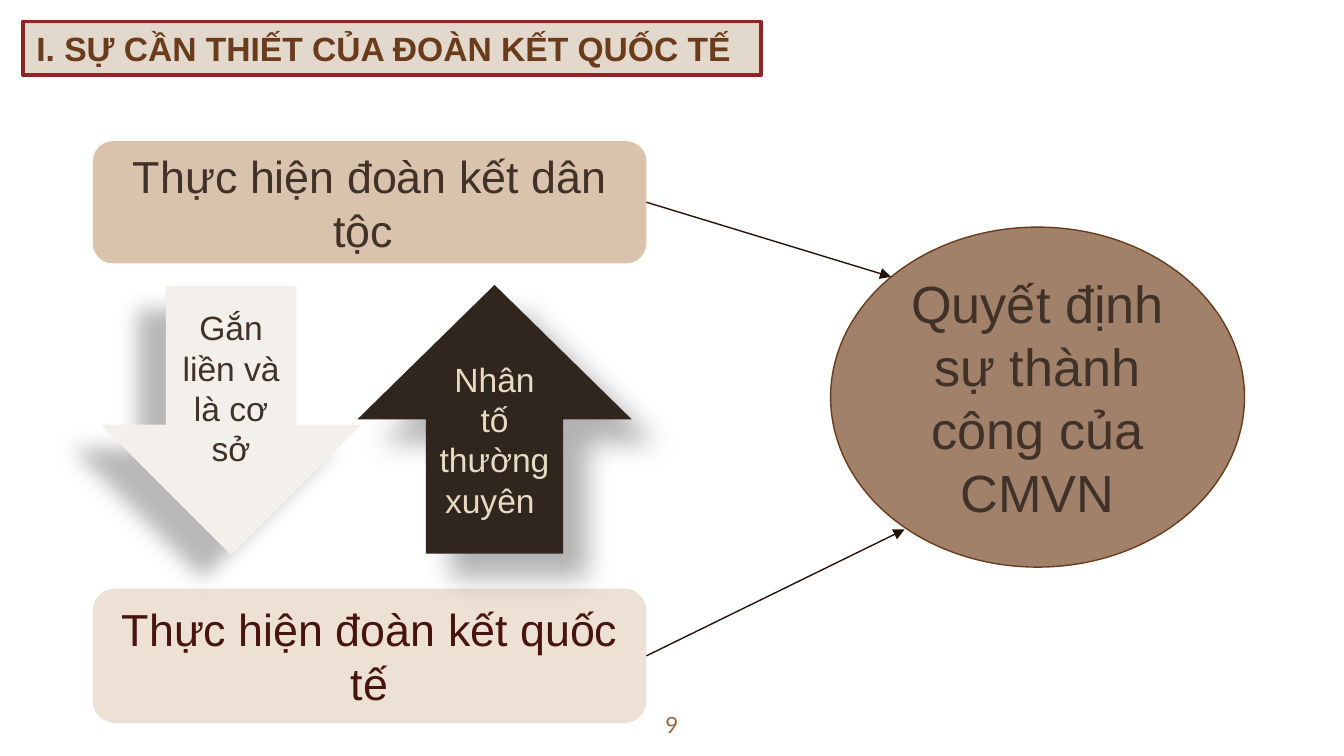
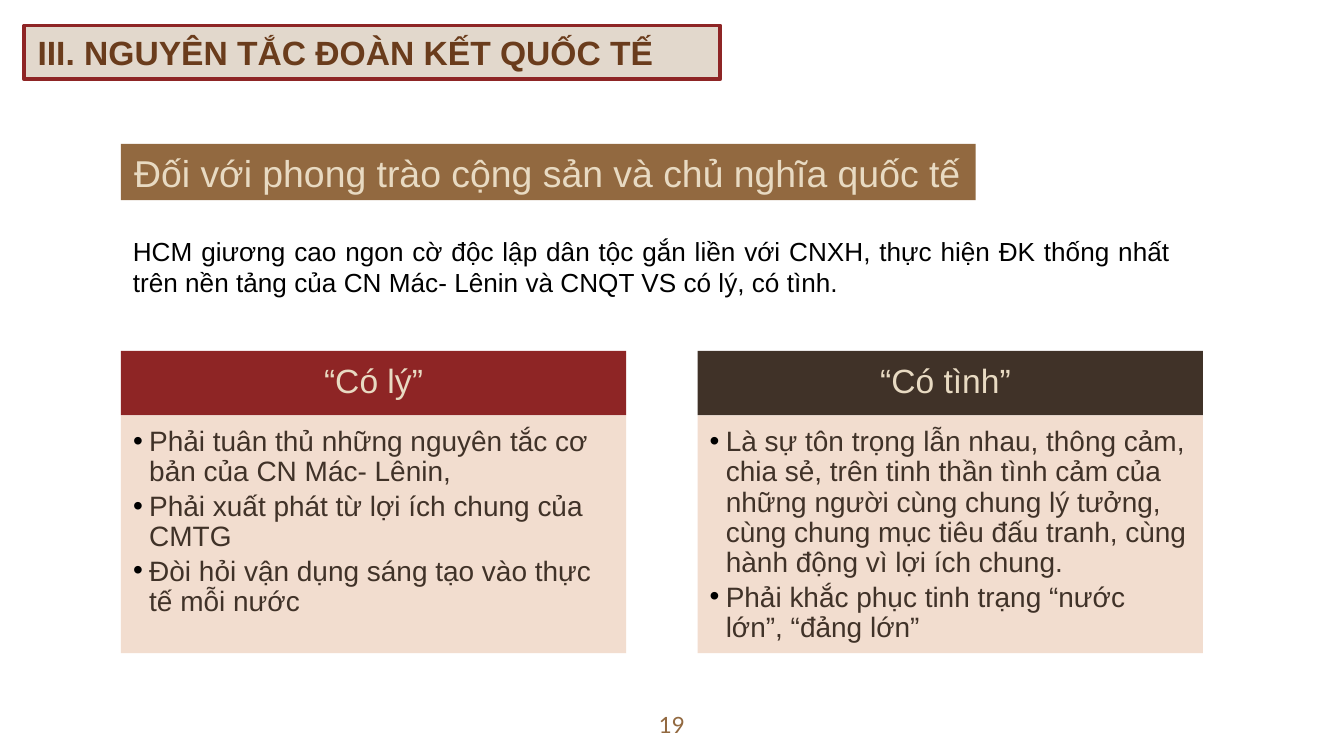
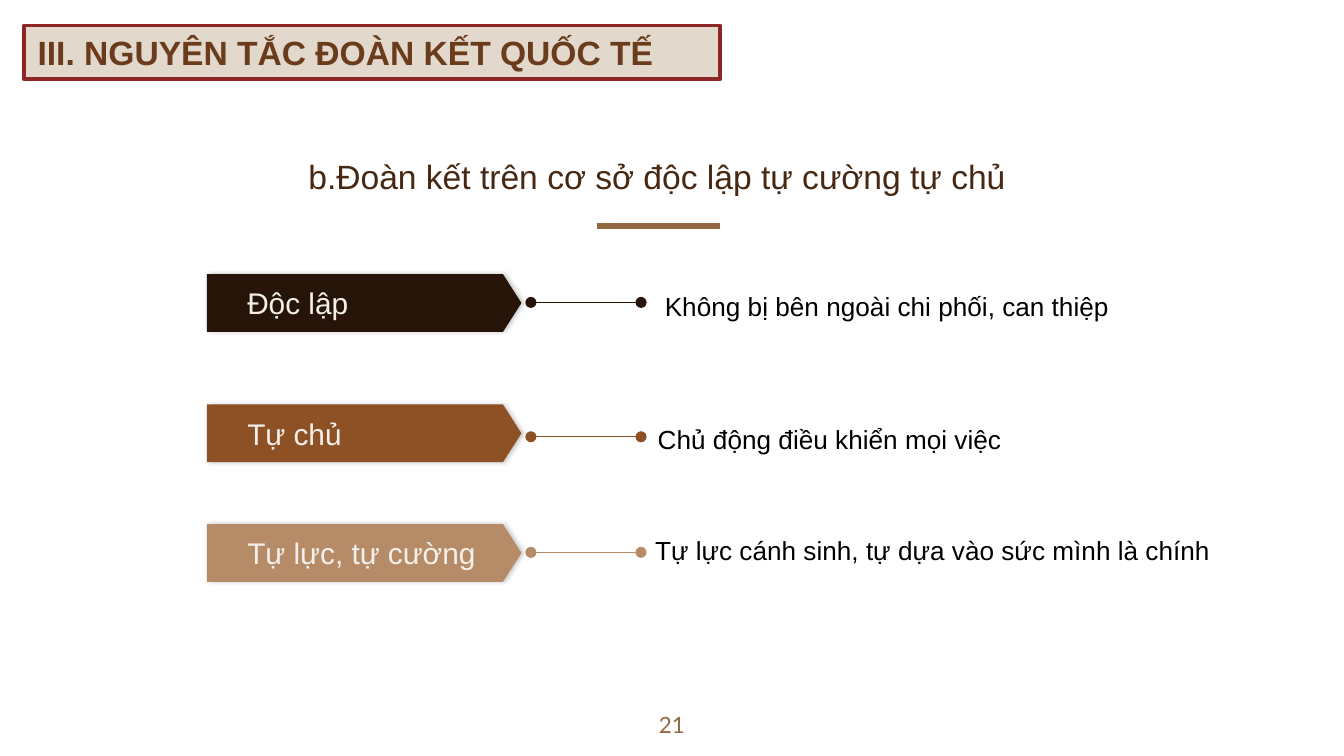
"""Build three slides on international solidarity."""
from dataclasses import dataclass
from typing import Optional

from lxml import etree
from pptx import Presentation
from pptx import util as u
from pptx.dml import color as hue
from pptx.enum import shapes, text
from pptx.oxml import ns

SCALE = 9144
KIND = shapes.MSO_SHAPE
LEFT, MID, FULL = text.PP_ALIGN.LEFT, text.PP_ALIGN.CENTER, text.PP_ALIGN.JUSTIFY
TOP, HALF, LOW = text.MSO_ANCHOR.TOP, text.MSO_ANCHOR.MIDDLE, text.MSO_ANCHOR.BOTTOM


@dataclass(frozen=True)
class Theme:
    """Colours, fonts and type sizes of the deck."""
    font: str = "Arial"
    digit: str = "Lato"
    black: str = "000000"
    ink: str = "403228"
    wine: str = "471313"
    red: str = "8E2525"
    brown: str = "6A3C1C"
    umber: str = "472813"
    gold: str = "926940"
    cream: str = "E8DAC2"
    pale: str = "F3EFEA"
    band: str = "E2D8CC"
    sand: str = "DAC3AC"
    shell: str = "EDE1D5"
    clay: str = "A18169"
    peach: str = "F1DACA"
    coal: str = "30261E"
    wire: str = "261307"
    night: str = "261408"
    rust: str = "8E5025"
    tan: str = "B68C68"
    huge: int = 28
    big: int = 24
    lead: int = 20
    head: int = 18
    label: int = 16
    item: int = 15
    note: int = 14
    foot: int = 12


T = Theme()


@dataclass(frozen=True)
class Box:
    """Place of a shape in px."""
    x: int
    y: int
    w: int
    h: int


@dataclass(frozen=True)
class Type:
    """Look of a block of text."""
    size: int
    ink: str
    align: text.PP_ALIGN = MID
    anchor: text.MSO_ANCHOR = HALF
    pad: tuple[int, int, int, int] = (10, 5, 10, 5)
    font: str = T.font
    bold: bool = False
    lead: Optional[float] = None
    after: Optional[float] = None


@dataclass(frozen=True)
class Shade:
    """Outer shadow: alpha in percent, blur and offset in points, angle in degrees."""
    alpha: int
    blur: float
    dist: float
    angle: int


@dataclass(frozen=True)
class Block:
    """Filled shape with its text."""
    kind: KIND
    box: Box
    fill: str
    words: str
    look: Type
    edge: Optional[str] = None
    shade: Optional[Shade] = None


@dataclass(frozen=True)
class Column:
    """Headed list."""
    head: str
    fill: str
    items: tuple[str, ...]


@dataclass(frozen=True)
class Row:
    """Tag, wire and note on one level."""
    tag: str
    fill: str
    top: int
    wire: int
    note: str
    box: Box


BANNER = Type(T.head, T.brown, LEFT, TOP, bold=True)
NUMBER = Type(T.foot, T.gold, anchor=TOP, pad=(10, 10, 10, 10), font=T.digit)
HEAD = Type(T.head, T.cream, pad=(12, 7, 12, 7), lead=0.9, after=6.3)
LIST = Type(T.item, T.ink, LEFT, TOP, (9, 9, 12, 13), lead=0.9, after=2.25)
NOTE = Type(T.note, T.black, anchor=TOP)
TAG = Type(T.label, T.pale, LEFT, pad=(30, 0, 0, 0))
THIRD = "III. NGUYÊN TẮC ĐOÀN KẾT QUỐC TẾ"


def px(n: int) -> u.Emu:
    """Turn px into EMU."""
    return u.Emu(n * SCALE)


def rgb(code: str) -> hue.RGBColor:
    """Turn a hex code into a colour."""
    return hue.RGBColor.from_string(code)


def sub(node, tag: str, **attrs):
    """Append a drawing element."""
    return etree.SubElement(node, ns.qn(tag), {k: str(v) for k, v in attrs.items()})


def place(shape, box: Box) -> None:
    """Move and size a shape."""
    shape.left, shape.top = px(box.x), px(box.y)
    shape.width, shape.height = px(box.w), px(box.h)


def paint(shape, fill: str, edge: Optional[str] = None, width: float = 0.75) -> None:
    """Set fill and outline."""
    shape.fill.solid()
    shape.fill.fore_color.rgb = rgb(fill)
    if edge:
        shape.line.color.rgb = rgb(edge)
        shape.line.width = u.Pt(width)
    else:
        shape.line.fill.background()


def write(shape, lines: tuple[str, ...], look: Type) -> None:
    """Write one paragraph per line."""
    frame = shape.text_frame
    frame.word_wrap = True
    frame.auto_size = text.MSO_AUTO_SIZE.NONE
    frame.vertical_anchor = look.anchor
    (frame.margin_left, frame.margin_top,
     frame.margin_right, frame.margin_bottom) = map(px, look.pad)
    for i, line in enumerate(lines):
        para = frame.add_paragraph() if i else frame.paragraphs[0]
        para.alignment = look.align
        if look.lead:
            para.line_spacing = look.lead
            para.space_before, para.space_after = u.Pt(0), u.Pt(look.after)
        run = para.add_run()
        run.text = line
        run.font.name, run.font.size = look.font, u.Pt(look.size)
        run.font.bold = look.bold
        run.font.color.rgb = rgb(look.ink)


def label(slide, box: Box, words: str, look: Type) -> None:
    """Add a plain text box."""
    shape = slide.shapes.add_textbox(*map(px, (box.x, box.y, box.w, box.h)))
    write(shape, (words,), look)


def cast(shape, shade: Shade) -> None:
    """Give a shape its shadow."""
    node = shape._element.spPr.find(ns.qn("a:effectLst"))
    drop = sub(node, "a:outerShdw", blurRad=u.Pt(shade.blur), dist=u.Pt(shade.dist),
               dir=shade.angle * 60000, algn="ctr", rotWithShape=0)
    sub(sub(drop, "a:srgbClr", val=T.black), "a:alpha", val=shade.alpha * 1000)


def draw(slide, block: Block):
    """Add a filled shape."""
    box = block.box
    shape = slide.shapes.add_shape(block.kind, *map(px, (box.x, box.y, box.w, box.h)))
    shape.shadow.inherit = False
    paint(shape, block.fill, block.edge)
    write(shape, (block.words,), block.look)
    if block.shade:
        cast(shape, block.shade)
    return shape


def link(slide, ends: tuple[int, int, int, int], ink: str, width: float = 0.75,
         head: str = "none", tail: str = "none"):
    """Add a straight line."""
    line = slide.shapes.add_connector(shapes.MSO_CONNECTOR.STRAIGHT, *map(px, ends))
    line.line.color.rgb = rgb(ink)
    line.line.width = u.Pt(width)
    edge = line.line._get_or_add_ln()
    sub(edge, "a:headEnd", type=head)
    sub(edge, "a:tailEnd", type=tail)
    sub(line._element.spPr, "a:effectLst")
    return line


def start(deck, layout: int, title: str, box: Box, number: int):
    """Add a slide with its banner and number."""
    slide = deck.slides.add_slide(deck.slide_layouts[layout])
    banner = slide.shapes.title
    place(banner, box)
    paint(banner, T.band, T.red, 2)
    write(banner, (title,), BANNER)
    label(slide, Box(470, 519, 60, 43), str(number), NUMBER)
    return slide


def fill_list(body, box: Box, items: tuple[str, ...]) -> None:
    """Format a body placeholder as a bulleted panel."""
    place(body, box)
    paint(body, T.peach)
    tint = body._element.spPr.find(ns.qn("a:solidFill"))[0]
    sub(tint, "a:alpha", val=90000)
    write(body, items, LIST)
    for para in body.text_frame.paragraphs:
        prop = para._p.get_or_add_pPr()
        prop.set("marL", str(px(12)))
        prop.set("indent", str(px(-12)))
        sub(sub(prop, "a:buClr"), "a:srgbClr", val=T.black)
        sub(prop, "a:buFont", typeface=T.font)
        sub(prop, "a:buChar", char="•")


def need(deck) -> None:
    """Build the slide on why solidarity is needed."""
    slide = start(deck, 5, "I. SỰ CẦN THIẾT CỦA ĐOÀN KẾT QUỐC TẾ", Box(17, 16, 549, 40), 9)
    world = draw(slide, Block(KIND.ROUNDED_RECTANGLE, Box(69, 438, 412, 100), T.shell,
                              "Thực hiện đoàn kết quốc tế", Type(T.big, T.wine)))
    draw(slide, Block(KIND.OVAL, Box(618, 169, 308, 253), T.clay,
                      "Quyết định sự thành công của CMVN", Type(T.huge, T.ink), T.brown))
    home = draw(slide, Block(KIND.ROUNDED_RECTANGLE, Box(69, 105, 412, 91), T.sand,
                             "Thực hiện đoàn kết dân tộc ", Type(T.big, T.ink)))
    draw(slide, Block(KIND.DOWN_ARROW, Box(75, 213, 194, 200), T.pale, "Gắn liền và là cơ sở",
                      Type(T.head, T.ink), shade=Shade(28, 11.8, 19.7, 141)))
    draw(slide, Block(KIND.UP_ARROW, Box(266, 212, 204, 200), T.coal, "Nhân tố thường xuyên ",
                      Type(T.head, T.cream, anchor=TOP), shade=Shade(30, 15, 18, 45)))
    for source, ends in ((home, (481, 151, 663, 206)), (world, (481, 488, 673, 394))):
        link(slide, ends, T.wire, tail="triangle").begin_connect(source, 3)


def reason(deck) -> None:
    """Build the slide on reason and feeling."""
    slide = start(deck, 3, THIRD, Box(18, 19, 518, 40), 19)
    draw(slide, Block(KIND.RECTANGLE, Box(90, 107, 636, 42), T.gold,
                      "Đối với phong trào cộng sản và chủ nghĩa quốc tế",
                      Type(T.lead, T.cream, LEFT, TOP, (10, 5, 0, 5))))
    label(slide, Box(89, 170, 792, 57),
          "HCM giương cao ngon cờ độc lập dân tộc gắn liền với CNXH, thực hiện ĐK thống nhất "
          "trên nền tảng của CN Mác- Lênin và CNQT VS có lý, có tình.",
          Type(T.note, T.black, FULL, TOP))
    cols = (
        Column("“Có lý”", T.red, (
            "Phải tuân thủ những nguyên tắc cơ bản của CN Mác- Lênin,",
            "Phải xuất phát từ lợi ích chung của CMTG",
            "Đòi hỏi vận dụng sáng tạo vào thực tế mỗi nước")),
        Column("“Có tình” ", T.ink, (
            "Là sự tôn trọng lẫn nhau, thông cảm, chia sẻ, trên tinh thần tình cảm của những "
            "người cùng chung lý tưởng, cùng chung mục tiêu đấu tranh, cùng hành động vì lợi "
            "ích chung.",
            "Phải khắc phục tinh trạng “nước lớn”, “đảng lớn”")),
    )
    for i, col in enumerate(cols):
        x = 90 + 429 * i
        draw(slide, Block(KIND.RECTANGLE, Box(x, 261, 376, 48), col.fill, col.head, HEAD))
        fill_list(slide.placeholders[i + 1], Box(x, 309, 376, 177), col.items)


def self_rule(deck) -> None:
    """Build the slide on independence."""
    slide = start(deck, 5, THIRD, Box(18, 19, 518, 40), 21)
    label(slide, Box(121, 62, 736, 94), "b.Đoàn kết trên cơ sở độc lập tự cường tự chủ",
          Type(T.head, T.umber, anchor=LOW, pad=(10, 10, 10, 10)))
    link(slide, (444, 168, 536, 168), T.gold, 3)
    rows = (
        Row("Độc lập", T.night, 204, 225,
            "Không bị bên ngoài chi phối, can thiệp", Box(410, 211, 500, 34)),
        Row("Tự chủ", T.rust, 301, 325,
            "Chủ động điều khiển mọi việc ", Box(436, 310, 368, 34)),
        Row("Tự lực, tự cường", T.tan, 390, 411,
            "Tự lực cánh sinh, tự dựa vào sức mình là chính", Box(444, 393, 500, 34)),
    )
    for row in rows:
        link(slide, (395, row.wire, 477, row.wire), row.fill, head="oval", tail="oval")
        plate = draw(slide, Block(KIND.PENTAGON, Box(154, row.top, 234, 43), row.fill, row.tag,
                                  TAG, shade=Shade(20, 2.2, 0.8, 0)))
        plate.adjustments[0] = 0.32
        label(slide, row.box, row.note, NOTE)


def main() -> None:
    """Build and save the deck."""
    deck = Presentation()
    deck.slide_width = px(1000)
    deck.slide_height = u.Emu(deck.slide_width * 9 // 16)
    for build in (need, reason, self_rule):
        build(deck)
    deck.save("out.pptx")


if __name__ == "__main__":
    main()
